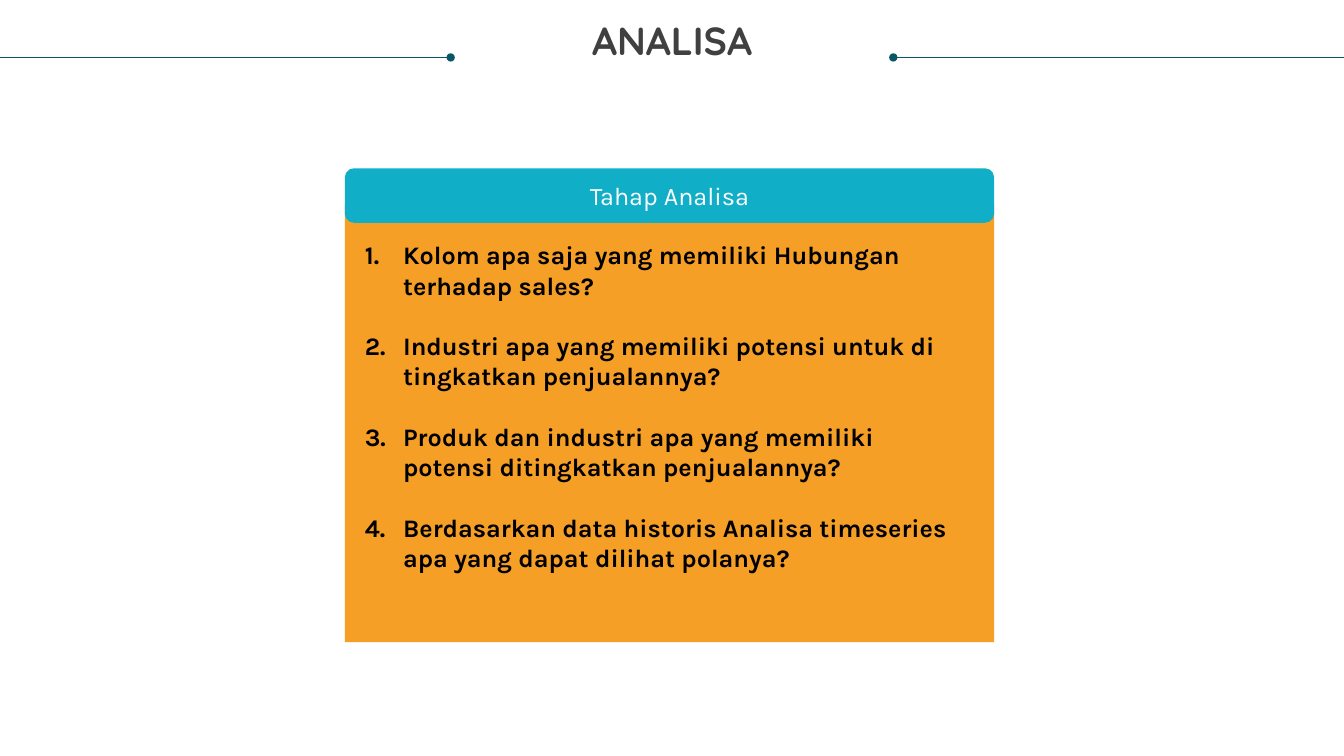
"""Build the ANALISA slide with its panel of analysis questions."""
from pptx import Presentation
from pptx.dml.color import RGBColor
from pptx.enum.shapes import MSO_CONNECTOR, MSO_SHAPE
from pptx.enum.text import MSO_ANCHOR, MSO_AUTO_SIZE, PP_ALIGN
from pptx.oxml.ns import qn
from pptx.util import Pt
from lxml.etree import SubElement

PX = 9144
TEAL = RGBColor(0x08, 0x57, 0x64)
CYAN = RGBColor(0x11, 0xAE, 0xC7)
ORANGE = RGBColor(0xF5, 0x9F, 0x26)
GRAY = RGBColor(0x40, 0x40, 0x40)
BLACK = RGBColor(0x00, 0x00, 0x00)
WHITE = RGBColor(0xFF, 0xFF, 0xFF)
QUESTIONS = [
    "Kolom apa saja yang memiliki Hubungan terhadap sales?",
    "Industri apa yang memiliki potensi untuk di tingkatkan penjualannya?",
    "Produk dan industri apa yang memiliki potensi ditingkatkan penjualannya?",
    "Berdasarkan data historis Analisa timeseries apa yang dapat dilihat polanya?",
]


def box(left, top, width, height):
    return [value * PX for value in (left, top, width, height)]


def style(paragraph, name, size, color, bold):
    for run in paragraph.runs:
        run.font.name = name
        run.font.size = Pt(size)
        run.font.bold = bold
        run.font.color.rgb = color


presentation = Presentation()
presentation.slide_width = 1333 * PX
presentation.slide_height = 750 * PX
slide = presentation.slides.add_slide(presentation.slide_layouts[5])
shapes = slide.shapes

title = shapes.title
title.left, title.top, title.width, title.height = box(25, 21, 1283, 85)
title_frame = title.text_frame
title_frame.text = "ANALISA"
title_frame.auto_size = MSO_AUTO_SIZE.NONE
title_frame.vertical_anchor = MSO_ANCHOR.TOP
title_frame.margin_left = title_frame.margin_right = 0
title_frame.margin_top = title_frame.margin_bottom = 0
title_paragraph = title_frame.paragraphs[0]
title_paragraph.alignment = PP_ALIGN.CENTER
title_paragraph.line_spacing = 0.9
style(title_paragraph, "Quicksand", 28, GRAY, True)

for dot_x, edge_x in ((447, 0), (886, 1333)):
    rule = shapes.add_connector(MSO_CONNECTOR.STRAIGHT, *box(dot_x, 57, edge_x, 57))
    rule.line.color.rgb = TEAL
    rule.line.width = Pt(0.5)
    SubElement(rule.line._get_or_add_ln(), qn("a:headEnd"), type="oval")
    SubElement(rule._element.spPr, qn("a:effectLst"))

panel = shapes.add_shape(MSO_SHAPE.RECTANGLE, *box(342, 203, 644, 434))
header = shapes.add_shape(MSO_SHAPE.FLOWCHART_ALTERNATE_PROCESS, *box(342, 167, 644, 54))
for shape, color in ((panel, ORANGE), (header, CYAN)):
    shape.shadow.inherit = False
    shape.fill.solid()
    shape.fill.fore_color.rgb = color
    shape.line.fill.background()

header.text_frame.text = "Tahap Analisa"
header.text_frame.vertical_anchor = MSO_ANCHOR.MIDDLE
header_paragraph = header.text_frame.paragraphs[0]
header_paragraph.alignment = PP_ALIGN.CENTER
style(header_paragraph, "Karla", 18, WHITE, False)

question_frame = shapes.add_textbox(*box(352, 233, 607, 404)).text_frame
question_frame.word_wrap = True
question_frame.text = "\n".join(QUESTIONS)
for index, paragraph in enumerate(question_frame.paragraphs):
    properties = paragraph._p.get_or_add_pPr()
    properties.set("marL", str(38 * PX))
    properties.set("indent", str(-38 * PX))
    SubElement(properties, qn("a:buFont"), typeface="+mj-lt")
    SubElement(properties, qn("a:buAutoNum"), type="arabicPeriod")
    if index:
        paragraph.space_before = Pt(21.6)
    style(paragraph, "Karla", 18, BLACK, True)

presentation.save("out.pptx")
